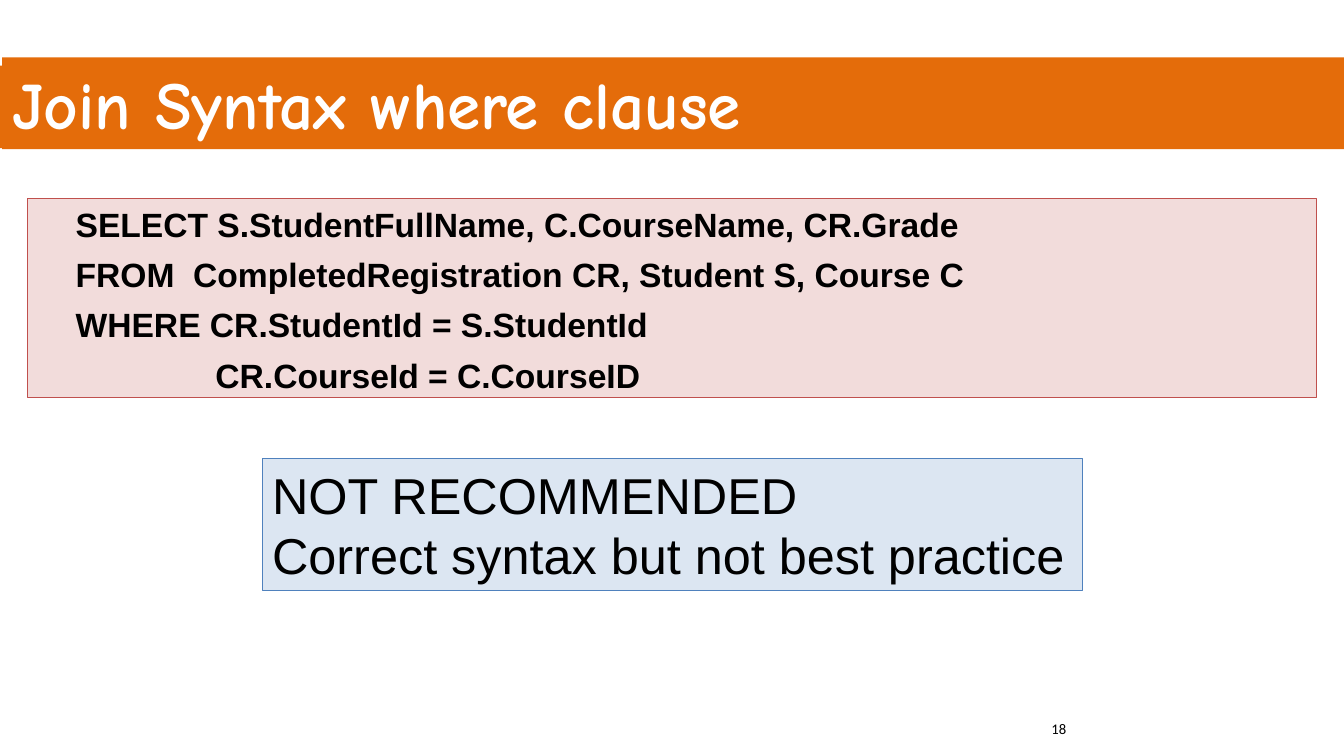
import pptx
import pptx.dml.color
import pptx.enum.shapes
import pptx.enum.text
import pptx.util

Inches = pptx.util.Inches
Pt = pptx.util.Pt
RGBColor = pptx.dml.color.RGBColor
ANCHOR = pptx.enum.text.MSO_ANCHOR

ORANGE = RGBColor(0xE4, 0x6C, 0x0A)
PINK = RGBColor(0xF2, 0xDC, 0xDB)
RED = RGBColor(0xC0, 0x50, 0x4D)
PALE_BLUE = RGBColor(0xDC, 0xE6, 0xF2)
BLUE = RGBColor(0x4F, 0x81, 0xBD)
BLACK = RGBColor(0, 0, 0)
WHITE = RGBColor(255, 255, 255)

QUERY = [
    "SELECT S.StudentFullName, C.CourseName, CR.Grade",
    "FROM  CompletedRegistration CR, Student S, Course C",
    "WHERE CR.StudentId = S.StudentId",
    "               CR.CourseId = C.CourseID",
]
ADVICE = ["NOT RECOMMENDED", "Correct syntax but not best practice"]


class SlideBuilder:
    body_font = "Arial"
    title_font = "Comic Neue"
    number_font = "Calibri"

    def __init__(self, prs):
        self.s = prs.slides.add_slide(prs.slide_layouts[5])

    def set_text(self, sp, lines, size, font=body_font, color=BLACK, bold=False,
                 gap=0, indent=0, anchor=ANCHOR.TOP, wrap=True):
        tf = sp.text_frame
        tf.text = "\n".join(lines)
        tf.word_wrap = wrap
        tf.auto_size = pptx.enum.text.MSO_AUTO_SIZE.NONE
        tf.vertical_anchor = anchor
        tf.margin_left = Inches(0.1 + indent)
        for i, p in enumerate(tf.paragraphs):
            p.alignment = pptx.enum.text.PP_ALIGN.LEFT
            p.space_before = Pt(gap if i else 0)
            p.space_after = Pt(gap)
            for r in p.runs:
                r.font.name = font
                r.font.size = Pt(size)
                r.font.bold = bold
                r.font.color.rgb = color

    def box(self, left, top, width, height, fill, line=None):
        sp = self.s.shapes.add_shape(
            pptx.enum.shapes.MSO_SHAPE.RECTANGLE,
            Inches(left), Inches(top), Inches(width), Inches(height))
        sp.shadow.inherit = False
        sp.fill.solid()
        sp.fill.fore_color.rgb = fill
        if line is None:
            sp.line.fill.background()
        else:
            sp.line.color.rgb = line
            sp.line.width = Pt(0.75)
        return sp

    def title(self, text):
        bar = self.box(0, 0.65, 13.33, 0.82, ORANGE)
        sp = self.s.shapes.title
        sp.left, sp.top = Inches(0.02), Inches(0.57)
        sp.width, sp.height = Inches(13.31), Inches(0.91)
        sp.fill.solid()
        sp.fill.fore_color.rgb = ORANGE
        bar.element.addnext(sp.element)
        self.set_text(sp, [text], 48, self.title_font, WHITE, bold=True)

    def code(self, lines):
        sp = self.box(0.27, 1.97, 12.79, 1.97, PINK, RED)
        self.set_text(sp, lines, 24, bold=True, gap=3.6, indent=0.38)

    def callout(self, lines):
        sp = self.box(2.6, 4.55, 8.14, 1.31, PALE_BLUE, BLUE)
        self.set_text(sp, lines, 36, wrap=False)

    def number(self, text):
        sp = self.s.shapes.add_textbox(
            Inches(10.33), Inches(7.09), Inches(3), Inches(0.4))
        self.set_text(sp, [text], 10.5, self.number_font)


def main():
    prs = pptx.Presentation()
    prs.slide_width = Inches(13.33)
    prs.slide_height = Inches(7.5)
    slide = SlideBuilder(prs)
    slide.title("Join Syntax where clause")
    slide.code(QUERY)
    slide.callout(ADVICE)
    slide.number("18")
    prs.save("out.pptx")


if __name__ == "__main__":
    main()
